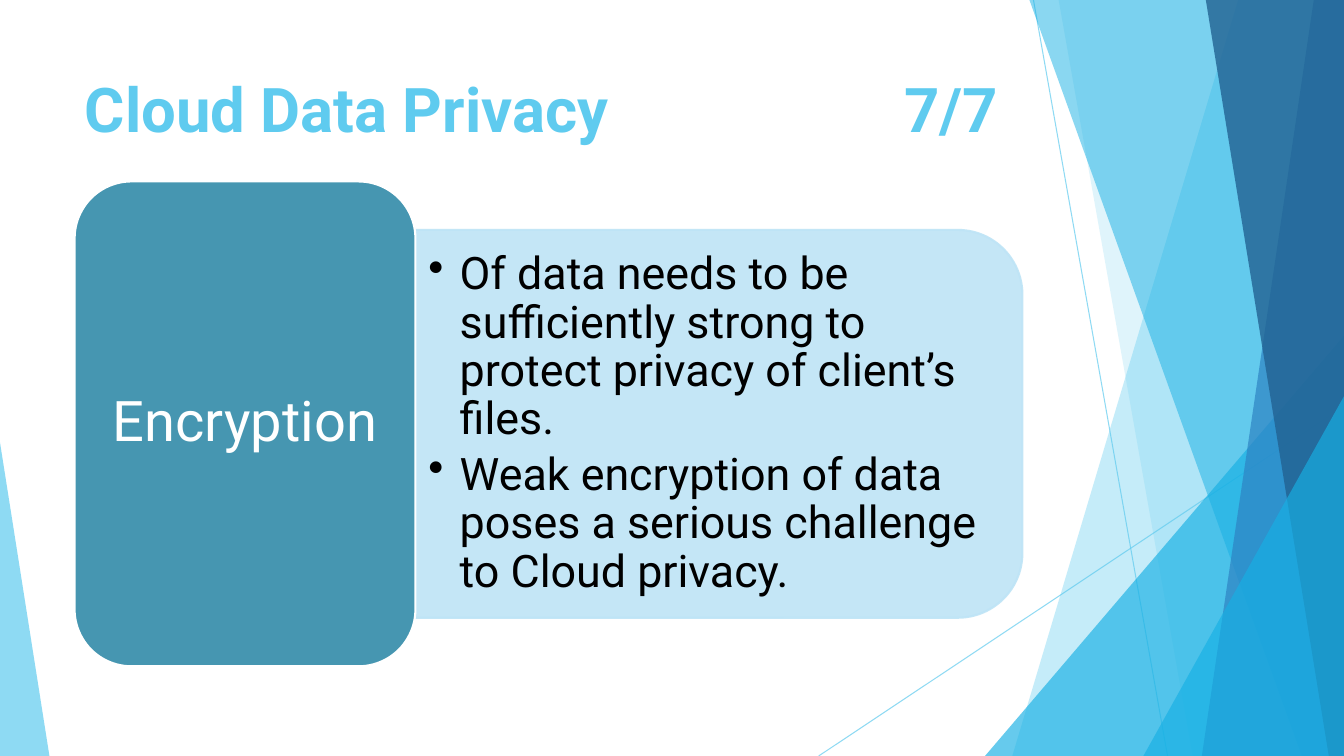
from collections import namedtuple

from lxml.etree import SubElement
from pptx import Presentation
from pptx.dml.color import RGBColor
from pptx.enum.shapes import MSO_CONNECTOR, MSO_SHAPE
from pptx.enum.text import MSO_ANCHOR, PP_ALIGN
from pptx.oxml.ns import qn
from pptx.util import Inches, Pt

Box = namedtuple("Box", "left top width height")

FONT = "Roboto"
SKY, AZURE, BLUE, NAVY = "5FCBEF", "17B0E4", "2E83C3", "226292"
TEAL, PALE, WHITE, BLACK = "4696B1", "BEE4F6", "FFFFFF", "000000"


def rgb(hex_colour):
    """Turn a hex string into a colour."""
    return RGBColor.from_string(hex_colour)


def set_opacity(shape, percent):
    """Make every colour of a shape partly transparent."""
    for colour in shape.element.spPr.iter(qn("a:srgbClr")):
        SubElement(colour, qn("a:alpha"), val=str(percent * 1000))


def paint(shape, fill, opacity=100, outline=None):
    """Give a shape its fill, outline and opacity, without a shadow."""
    shape.shadow.inherit = False
    shape.fill.solid()
    shape.fill.fore_color.rgb = rgb(fill)
    if outline:
        shape.line.color.rgb = rgb(outline)
        shape.line.width = Pt(1.5)
    else:
        shape.line.fill.background()
    if opacity < 100:
        set_opacity(shape, opacity)


def add_run(paragraph, text, size, colour, bold=False):
    """Add one formatted run."""
    run = paragraph.add_run()
    run.text = text
    run.font.name = FONT
    run.font.size = Pt(size)
    run.font.bold = bold
    run.font.color.rgb = rgb(colour)


def set_frame(frame, side, edge):
    """Wrap text, centre it vertically and set its insets."""
    frame.word_wrap = True
    frame.vertical_anchor = MSO_ANCHOR.MIDDLE
    frame.margin_left = frame.margin_right = Inches(side)
    frame.margin_top = frame.margin_bottom = Inches(edge)


def add_ray(slide, start, end):
    """Draw a thin translucent line."""
    ray = slide.shapes.add_connector(
        MSO_CONNECTOR.STRAIGHT, *(Inches(v) for v in (*start, *end)))
    ray.line.color.rgb = rgb(SKY)
    ray.line.width = Pt(0.75)
    set_opacity(ray, 70)
    SubElement(ray.element.spPr, qn("a:effectLst"))


def add_facet(slide, box, top_inset, bottom_inset, colour, opacity):
    """Draw a full-height facet whose slanted edge is measured from the right."""
    right, bottom = box.left + box.width, box.top + box.height
    corners = [(right - top_inset, box.top), (right, box.top),
               (right, bottom), (right - bottom_inset, bottom)]
    points = [(Inches(x), Inches(y)) for x, y in corners]
    builder = slide.shapes.build_freeform(*points[0])
    builder.add_line_segments(points[1:], close=True)
    paint(builder.convert_to_shape(), colour, opacity)


def add_corner(slide, box, width, height, apex, colour, opacity):
    """Draw a triangle in a bottom corner: apex 0 is left, 1 is right."""
    left = box.left + apex * (box.width - width)
    corner = slide.shapes.add_shape(
        MSO_SHAPE.ISOSCELES_TRIANGLE, Inches(left),
        Inches(box.top + box.height - height), Inches(width), Inches(height))
    corner.adjustments[0] = apex
    paint(corner, colour, opacity)


def add_backdrop(slide, box):
    """Layer the rays, facets and corners along the edges of the box."""
    right, bottom = box.left + box.width, box.top + box.height
    add_ray(slide, (right - 3.08, box.top), (right - 1.75, bottom))
    add_ray(slide, (right, box.top + 4.03), (right - 5.21, bottom))
    add_facet(slide, box, 1.05, 3.29, SKY, 36)
    add_facet(slide, box, 2.83, 1.5, SKY, 20)
    add_corner(slide, box, 3.56, 4.17, 1, AZURE, 66)
    add_facet(slide, box, 3.12, 0.42, AZURE, 50)
    add_facet(slide, box, 0.3, 1.41, BLUE, 70)
    add_facet(slide, box, 1.37, 0.15, NAVY, 80)
    add_corner(slide, box, 1.99, 3.57, 1, AZURE, 66)
    add_corner(slide, box, 0.49, 3.11, 0, SKY, 70)


def add_title(slide, box, heading, counter):
    """Fill the title with a heading and a right-tabbed page counter."""
    title = slide.shapes.title
    title.left, title.top, title.width, title.height = map(Inches, box)
    set_frame(title.text_frame, 0.1, 0.05)
    line = title.text_frame.paragraphs[0]
    line.alignment = PP_ALIGN.LEFT
    tabs = SubElement(line._p.get_or_add_pPr(), qn("a:tabLst"))
    SubElement(tabs, qn("a:tab"), pos=str(Inches(9.06)), algn="r")
    add_run(line, f"{heading}\t{counter}", 44, SKY, bold=True)


def add_details(slide, box, points):
    """Draw the panel rounded on its right side, with its bullet points."""
    panel = slide.shapes.add_shape(
        MSO_SHAPE.ROUND_2_SAME_RECTANGLE,
        Inches(box.left + (box.width - box.height) / 2),
        Inches(box.top + (box.height - box.width) / 2),
        Inches(box.height), Inches(box.width))
    panel.rotation = 90
    paint(panel, PALE, 90, outline=PALE)

    details = slide.shapes.add_textbox(
        Inches(box.left), Inches(box.top + 0.19),
        Inches(box.width - 0.19), Inches(box.height - 0.38))
    frame = details.text_frame
    set_frame(frame, 0.13, 0.07)
    for index, point in enumerate(points):
        bullet = frame.add_paragraph() if index else frame.paragraphs[0]
        properties = bullet._p.get_or_add_pPr()
        properties.set("marL", str(Inches(0.31)))
        properties.set("indent", str(Inches(-0.31)))
        SubElement(properties, qn("a:buChar"), char="•")
        bullet.line_spacing = 0.9
        bullet.space_after = Pt(5)
        add_run(bullet, point, 32, BLACK)


def add_topic(slide, box, name):
    """Draw the rounded block that names the topic."""
    topic = slide.shapes.add_shape(
        MSO_SHAPE.ROUNDED_RECTANGLE, *map(Inches, box))
    paint(topic, TEAL, outline=WHITE)
    set_frame(topic.text_frame, 0.17, 0.08)
    line = topic.text_frame.paragraphs[0]
    line.alignment = PP_ALIGN.CENTER
    line.line_spacing = 0.9
    add_run(line, name, 40, WHITE)


def add_topic_row(slide, box, name, points):
    """Place the topic block at the left and its details beside it."""
    topic_width = 3.38
    inset = box.height / 10
    add_details(slide, Box(box.left + topic_width, box.top + inset,
                           box.width - topic_width, box.height - 2 * inset),
                points)
    add_topic(slide, Box(box.left, box.top, topic_width, box.height), name)


def main():
    """Build and save the slide."""
    deck = Presentation()
    deck.slide_width, deck.slide_height = Inches(13.33), Inches(7.5)
    slide = deck.slides.add_slide(deck.slide_layouts[5])
    add_backdrop(slide, Box(0, 0, 13.33, 7.5))
    add_title(slide, Box(0.74, 0.67, 9.4, 0.8), "Cloud Data Privacy", "7/7")
    add_topic_row(slide, Box(0.74, 1.8, 9.4, 4.81), "Encryption", [
        "Of data needs to be sufficiently strong to protect privacy of client’s files.",
        "Weak encryption of data poses a serious challenge to Cloud privacy.",
    ])
    deck.save("out.pptx")


if __name__ == "__main__":
    main()
